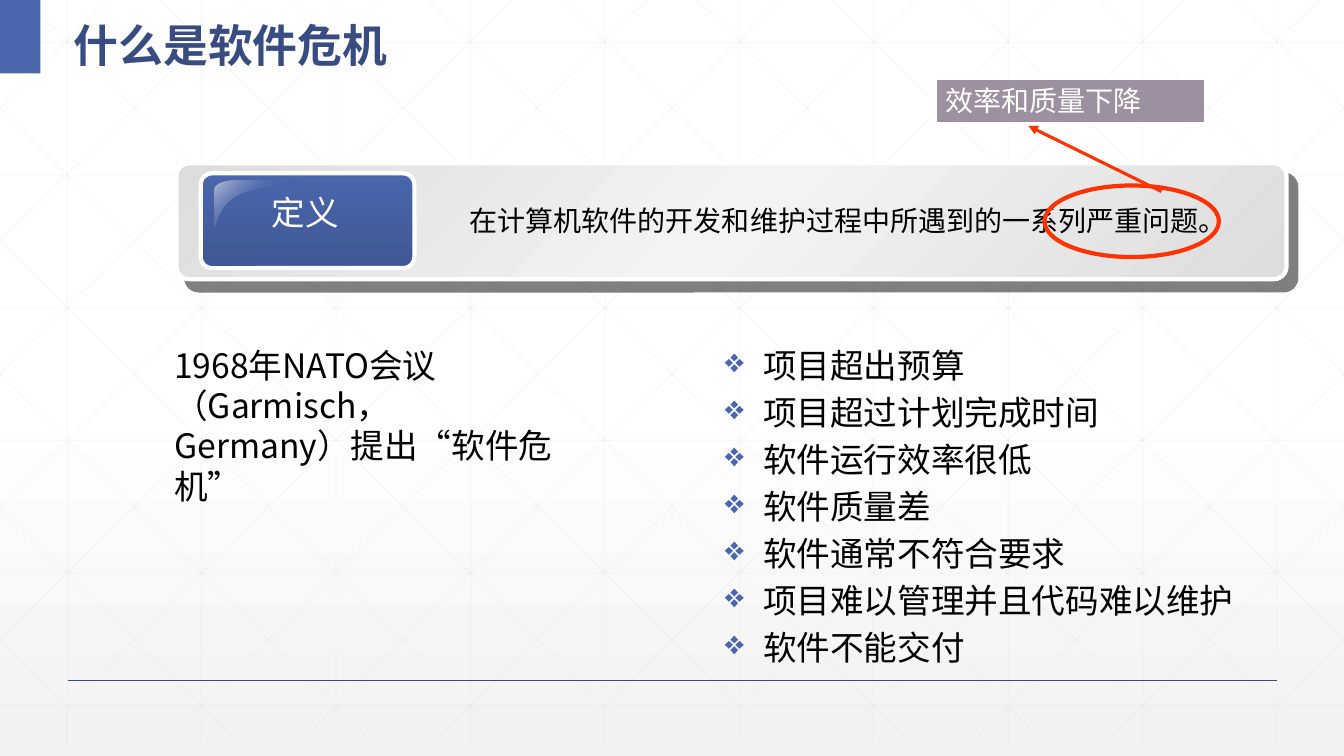
from dataclasses import dataclass

from lxml import etree
from pptx import Presentation
from pptx import util as u
from pptx.dml.color import RGBColor
from pptx.enum import shapes, text
from pptx.oxml.ns import qn

KIND = shapes.MSO_SHAPE
LEFT, MID = text.PP_ALIGN.LEFT, text.PP_ALIGN.CENTER
WIDE, TALL, DEPTH = 13.33, 7.5, 7.37


@dataclass(frozen=True)
class Theme:
    font: str = "Noto Sans CJK SC"
    plain: str = "Arial"
    blue: str = "4A66AC"
    deep: str = "3F5793"
    navy: str = "384C81"
    haze: str = "BAC0D7"
    mauve: str = "9D90A0"
    red: str = "FF3300"
    black: str = "000000"
    white: str = "FFFFFF"
    grid: str = "D9D9D9"
    silver: str = "DDDDDD"
    light: str = "F3F3F3"
    floor: str = "F2F2F2"
    head: int = 32
    body: int = 24
    small: int = 20


def sub(node, tag, **attrs):
    return etree.SubElement(node, qn(tag), {k: str(v) for k, v in attrs.items()})


def tint(node, color, alpha):
    sub(sub(node, "a:srgbClr", val=color), "a:alpha", val=alpha * 1000)


def fade(fill, root, stops, angle):
    """Fill with (place, colour, opacity) stops; root is the element that holds the fill."""
    fill.gradient()
    grad = root.find(".//" + qn("a:gradFill"))
    row = grad.find(qn("a:gsLst"))
    row.clear()
    for place, color, alpha in stops:
        tint(sub(row, "a:gs", pos=place * 1000), color, alpha)
    grad.find(qn("a:lin")).set("ang", str(angle * 60000))


def shade(node, alpha, dist, angle):
    """Give a shape or font element a hard black shadow; dist is in points."""
    old = node.find(qn("a:effectLst"))
    if old is not None:
        node.remove(old)
    glow = etree.Element(qn("a:effectLst"))
    cast = sub(glow, "a:outerShdw", blurRad=0, dist=u.Pt(dist),
               dir=angle * 60000, algn="ctr", rotWithShape=0)
    tint(cast, Theme.black, alpha)
    latin = node.find(qn("a:latin"))
    if latin is None:
        node.append(glow)
    else:
        latin.addprevious(glow)


def curve(a, b, c, d, steps=12):
    """Points along a cubic curve, after its start."""
    for i in range(1, steps + 1):
        t = i / steps
        s = 1 - t
        yield tuple(s**3 * p + 3 * s * s * t * q + 3 * s * t * t * r + t**3 * e
                    for p, q, r, e in zip(a, b, c, d))


class Deck:
    def __init__(self, theme):
        self.look = theme
        self.file = Presentation()
        self.file.slide_width, self.file.slide_height = u.Inches(WIDE), u.Inches(TALL)
        self.page = self.file.slides.add_slide(self.file.slide_layouts[5])
        self.items = self.page.shapes

    def back(self, stops, angle):
        fade(self.page.background.fill, self.page.element, stops, angle)

    def line(self, start, end, color, width, alpha=100, arrow=False):
        ends = [u.Inches(v) for v in (*start, *end)]
        item = self.items.add_connector(shapes.MSO_CONNECTOR.STRAIGHT, *ends)
        item.line.color.rgb = RGBColor.from_string(color)
        item.line.width = u.Pt(width)
        props = item.element.spPr
        if alpha < 100:
            sub(props.find(".//" + qn("a:srgbClr")), "a:alpha", val=alpha * 1000)
        if arrow:
            sub(props.find(qn("a:ln")), "a:tailEnd", type="triangle")
        sub(props, "a:effectLst")

    def paint(self, item, fill=None, edge=None, width=1, angle=90):
        """Style a shape; fill is a colour, a list of stops or None."""
        item.shadow.inherit = False
        if isinstance(fill, list):
            fade(item.fill, item.element.spPr, fill, angle)
        elif fill:
            item.fill.solid()
            item.fill.fore_color.rgb = RGBColor.from_string(fill)
        else:
            item.fill.background()
        if edge:
            item.line.color.rgb = RGBColor.from_string(edge)
            item.line.width = u.Pt(width)
        else:
            item.line.fill.background()

    def shape(self, kind, box, bend=None, **style):
        item = self.items.add_shape(kind, *map(u.Inches, box))
        if bend is not None:
            item.adjustments[0] = bend
        self.paint(item, **style)
        return item

    def free(self, dots, **style):
        dots = [(u.Inches(x), u.Inches(y)) for x, y in dots]
        pen = self.items.build_freeform(*dots[0])
        pen.add_line_segments(dots[1:], close=True)
        self.paint(pen.convert_to_shape(), **style)

    def words(self, item, lines, size, color, font=None, align=LEFT, gap=0,
              bold=False, mark=None, anchor=text.MSO_ANCHOR.TOP):
        """Fill a shape with paragraphs; gap is the space before, as a share of the size."""
        frame = item.text_frame
        frame.text = "\n".join(lines)
        frame.word_wrap = True
        frame.vertical_anchor = anchor
        for para in frame.paragraphs:
            para.alignment = align
            para.space_before = u.Pt(gap * size)
            face = para.font
            face.name, face.size, face.bold = font or self.look.font, u.Pt(size), bold
            face.color.rgb = RGBColor.from_string(color)
            props = para._p.pPr
            base = props.find(qn("a:defRPr"))
            sub(base, "a:ea", typeface=self.look.font)
            if mark:
                props.set("marL", str(u.Inches(0.38)))
                props.set("indent", str(-u.Inches(0.38)))
                hue = etree.Element(qn("a:buClr"))
                sub(hue, "a:srgbClr", val=self.look.blue)
                sign = etree.Element(qn("a:buChar"), {"char": mark})
                base.addprevious(hue)
                base.addprevious(sign)
        return frame

    def text(self, box, lines, size, color, **style):
        item = self.items.add_textbox(*map(u.Inches, box))
        return self.words(item, lines, size, color, **style)

    def title(self, box, words):
        item = self.items.title
        item.left, item.top, item.width, item.height = map(u.Inches, box)
        frame = self.words(item, [words], self.look.head, self.look.navy,
                           bold=True, anchor=text.MSO_ANCHOR.MIDDLE)
        frame.paragraphs[0].line_spacing = 1.3
        self.items.element.append(item.element)


def grid(deck):
    step, run = 4 / 3, 7.45
    pairs = [((x, 0), (x, DEPTH)) for x in (step * (k + 0.5) for k in range(10))]
    pairs += [((0, y), (WIDE, y)) for y in (0.42 + 1.316 * k for k in range(6))]
    for k in range(-5, 10):
        foot = 0.25 + step * k
        ends = [(x, (x - foot) * DEPTH / run) for x in (max(foot, 0), min(foot + run, WIDE))]
        pairs += [ends, [(WIDE - x, y) for x, y in ends]]
    for start, end in pairs:
        deck.line(start, end, deck.look.grid, 0.5, alpha=25)


def main():
    look = Theme()
    deck = Deck(look)
    deck.back([(0, look.white, 100), (53, look.white, 100), (100, look.floor, 100)], 90)
    grid(deck)
    deck.line((0.67, 6.75), (12.67, 6.75), look.navy, 1)
    deck.shape(KIND.RECTANGLE, (0, 0, 0.4, 0.73), fill=look.blue)

    panel = deck.shape(
        KIND.ROUNDED_RECTANGLE, (1.75, 1.62, 11.01, 1.15), 0.109, edge=look.white, width=3, angle=45,
        fill=[(0, look.silver, 100), (50, look.light, 100), (100, look.silver, 100)])
    shade(panel.element.spPr, 50, 10.6, 49)
    deck.shape(KIND.ROUNDED_RECTANGLE, (1.99, 1.72, 2.12, 0.94), 0.119, edge=look.white, width=3,
               fill=[(0, look.blue, 100), (100, look.deep, 100)])
    gloss = [(2.33, 1.79), *curve((2.33, 1.79), (2.22, 1.79), (2.13, 1.83), (2.13, 1.88)),
             (2.13, 2.25), *curve((2.13, 2.25), (2.17, 2.25), (2.15, 2.03), (2.41, 1.92)),
             *curve((2.41, 1.92), (2.68, 1.82), (3.18, 1.81), (3.17, 1.79))]
    deck.free(gloss, angle=45,
              fill=[(0, look.haze, 100), (50, look.blue, 0), (100, look.haze, 100)])
    term = deck.text((2.11, 1.85, 1.84, 0.49), ["定义"], look.body, look.white, align=MID, gap=0.3)
    shade(term.paragraphs[0]._p.pPr.find(qn("a:defRPr")), 100, 2, 45)
    deck.text((4.4, 1.97, 8.09, 0.43), ["在计算机软件的开发和维护过程中所遇到的一系列严重问题。 "],
              look.small, look.black, align=MID, gap=0.3)

    deck.title((0.63, 0, 5.69, 0.73), "什么是软件危机")
    deck.shape(KIND.OVAL, (10.36, 1.84, 1.73, 0.71), edge=look.red, width=3)
    deck.line((11.52, 1.9), (10.2, 1.25), look.red, 2.25, arrow=True)
    faults = ["项目超出预算", "项目超过计划完成时间", "软件运行效率很低", "软件质量差",
              "软件通常不符合要求", "项目难以管理并且代码难以维护", "软件不能交付"]
    deck.text((7.09, 3.37, 5.4, 3.61), faults, look.body, look.black, gap=0.2, mark="❖")
    deck.text((1.63, 3.37, 4.02, 1.27), ["1968年NATO会议（Garmisch，Germany）提出“软件危机”"],
              look.body, look.black)
    label = deck.shape(KIND.RECTANGLE, (9.28, 0.78, 2.67, 0.44),
                       fill=look.mauve, edge=look.white, width=1.5)
    deck.words(label, ["效率和质量下降"], look.small, look.white, font=look.plain,
               anchor=text.MSO_ANCHOR.MIDDLE)
    deck.file.save("out.pptx")


if __name__ == "__main__":
    main()
